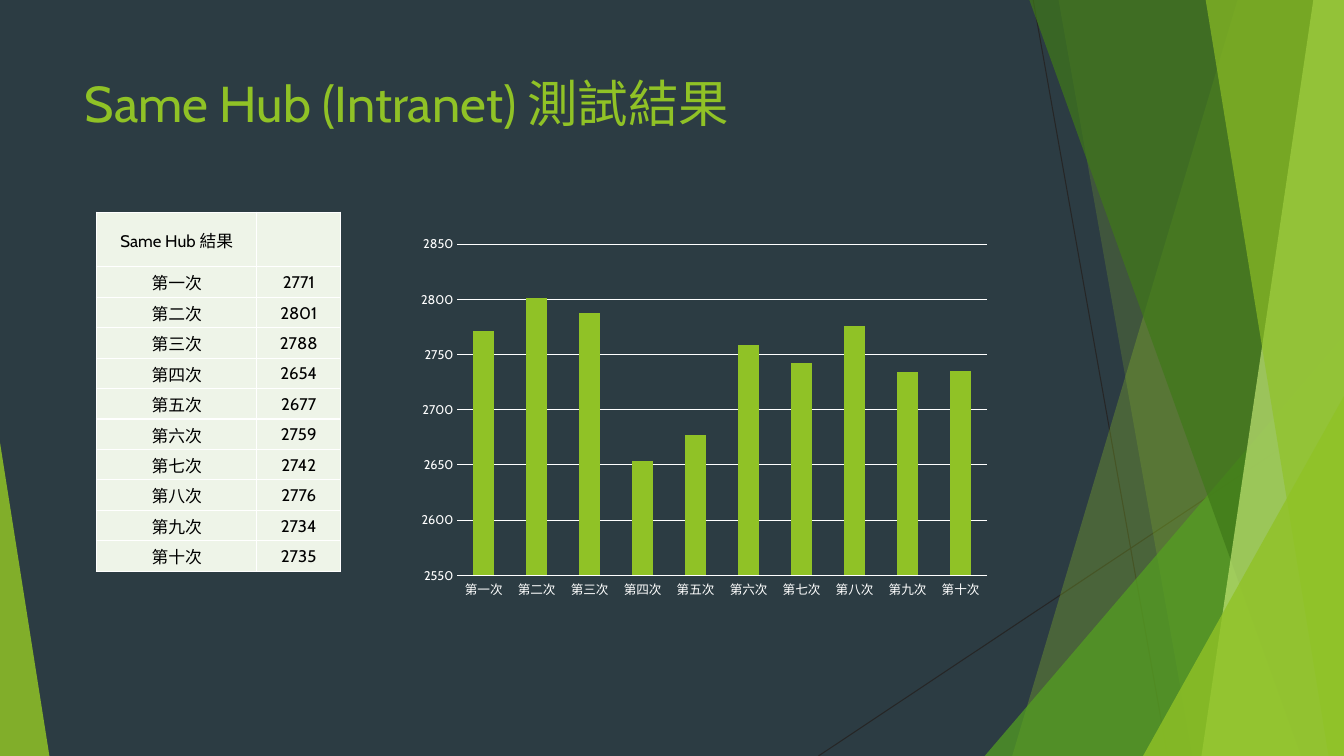
from lxml.etree import SubElement
from pptx import Presentation
from pptx.chart.data import CategoryChartData
from pptx.dml.color import RGBColor
from pptx.enum.chart import XL_CHART_TYPE, XL_TICK_MARK
from pptx.enum.shapes import MSO_CONNECTOR, MSO_SHAPE
from pptx.enum.text import MSO_ANCHOR, MSO_AUTO_SIZE, PP_ALIGN
from pptx.oxml import parse_xml
from pptx.oxml.ns import nsdecls, qn
from pptx.util import Pt

SLATE = RGBColor(0x2C, 0x3C, 0x43)
LIME = RGBColor(0x90, 0xC2, 0x26)
GREEN = RGBColor(0x54, 0xA0, 0x21)
FOREST = RGBColor(0x3F, 0x78, 0x19)
PALE_LIME = RGBColor(0xC0, 0xE4, 0x74)
CHARCOAL = RGBColor(0x26, 0x26, 0x26)
MINT = RGBColor(0xEE, 0xF4, 0xE8)
WHITE = RGBColor(0xFF, 0xFF, 0xFF)
BLACK = RGBColor(0, 0, 0)

WIDTH, HEIGHT = 960, 540
BAND_TOP = -0.6
RESULTS = {
    "第一次": 2771, "第二次": 2801, "第三次": 2788, "第四次": 2654, "第五次": 2677,
    "第六次": 2759, "第七次": 2742, "第八次": 2776, "第九次": 2734, "第十次": 2735,
}
RAYS = [((738, 0), (834, HEIGHT)), ((WIDTH, 290.2), (584.6, HEIGHT))]
BACK_BANDS = [(884.2, 723, LIME, 30), (756, 851.8, LIME, 20)]
FRONT_BANDS = [
    (735.1, 929.5, FOREST, 70),
    (938.2, 858.2, PALE_LIME, 70),
    (861.1, 949, LIME, 65),
]


def style_font(font, size, color):
    font.name = "Cabin"
    font.size = Pt(size)
    font.color.rgb = color


def write(frame, text, *, size, color, align=PP_ALIGN.LEFT):
    para = frame.paragraphs[0]
    para.alignment = align
    span = para.add_run()
    span.text = text
    style_font(span.font, size, color)


class SlideBuilder:
    def __init__(self, page):
        self.page = page
        self.shapes = page.shapes
        page.background.fill.solid()
        page.background.fill.fore_color.rgb = SLATE

    def line(self, start, end):
        ray = self.shapes.add_connector(
            MSO_CONNECTOR.STRAIGHT, *(Pt(value) for value in (*start, *end)))
        ray.line.color.rgb = CHARCOAL
        ray.line.width = Pt(0.75)
        SubElement(ray.element.spPr, qn("a:effectLst"))

    def paint(self, shape, color, opacity):
        shape.shadow.inherit = False
        shape.line.fill.background()
        shape.fill.solid()
        shape.fill.fore_color.rgb = color
        tint = shape.element.spPr.find(".//" + qn("a:srgbClr"))
        SubElement(tint, qn("a:alpha"), val=str(opacity * 1000))

    def band(self, top_x, bottom_x, color, opacity):
        outline = self.shapes.build_freeform(Pt(top_x), Pt(BAND_TOP))
        corners = [(WIDTH, BAND_TOP), (WIDTH, HEIGHT), (bottom_x, HEIGHT)]
        outline.add_line_segments([(Pt(x), Pt(y)) for x, y in corners], close=True)
        self.paint(outline.convert_to_shape(), color, opacity)

    def triangle(self, left, top, width, apex, color, opacity):
        shape = self.shapes.add_shape(
            MSO_SHAPE.ISOSCELES_TRIANGLE,
            Pt(left), Pt(top), Pt(width), Pt(HEIGHT - top))
        shape.adjustments[0] = apex
        self.paint(shape, color, opacity)

    def title(self, text, left, top, width, height):
        box = self.shapes.title
        box.left, box.top, box.width, box.height = Pt(left), Pt(top), Pt(width), Pt(height)
        frame = box.text_frame
        frame.word_wrap = True
        frame.auto_size = MSO_AUTO_SIZE.NONE
        frame.vertical_anchor = MSO_ANCHOR.TOP
        write(frame, text, size=36, color=LIME)
        self.shapes.element.append(box.element)

    def cell(self, cell, text):
        cell.fill.solid()
        cell.fill.fore_color.rgb = MINT
        cell.vertical_anchor = MSO_ANCHOR.MIDDLE
        cell.margin_left = cell.margin_right = cell.margin_top = Pt(0.72)
        cell.margin_bottom = 0
        if text:
            write(cell.text_frame, text, size=12, color=BLACK, align=PP_ALIGN.CENTER)
        properties = cell._tc.get_or_add_tcPr()
        for index, side in enumerate("LRTB"):
            properties.insert(index, parse_xml(
                f'<a:ln{side} {nsdecls("a")} w="{Pt(1)}"><a:solidFill>'
                f'<a:srgbClr val="{WHITE}"/></a:solidFill></a:ln{side}>'))

    def table(self, rows, left, top, widths, heights):
        grid = self.shapes.add_table(
            len(rows), len(widths), Pt(left), Pt(top),
            Pt(sum(widths)), Pt(sum(heights))).table
        grid.first_row = grid.horz_banding = False
        for column, width in zip(grid.columns, widths):
            column.width = Pt(width)
        for row, height, texts in zip(grid.rows, heights, rows):
            row.height = Pt(height)
            for cell, text in zip(row.cells, texts):
                self.cell(cell, text)

    def column_chart(self, results, left, top, width, height):
        data = CategoryChartData()
        data.categories = list(results)
        data.add_series("Series 1", list(results.values()))
        chart = self.shapes.add_chart(
            XL_CHART_TYPE.COLUMN_STACKED,
            Pt(left), Pt(top), Pt(width), Pt(height), data).chart
        chart.has_legend = chart.has_title = False
        style_font(chart.font, 10, WHITE)
        plot = chart.plots[0]
        plot.vary_by_categories = False
        plot.gap_width, plot.overlap = 150, 100
        plot.series[0].format.fill.solid()
        plot.series[0].format.fill.fore_color.rgb = LIME
        for axis in (chart.category_axis, chart.value_axis):
            axis.major_tick_mark = axis.minor_tick_mark = XL_TICK_MARK.NONE
            axis.format.line.fill.background()
            style_font(axis.tick_labels.font, 9, WHITE)
        scale = chart.value_axis
        scale.minimum_scale, scale.maximum_scale, scale.major_unit = 2550, 2850, 50
        scale.has_major_gridlines = True
        scale.major_gridlines.format.line.color.rgb = WHITE
        scale.major_gridlines.format.line.width = Pt(0.75)


def main():
    deck = Presentation()
    deck.slide_width, deck.slide_height = Pt(WIDTH), Pt(HEIGHT)
    builder = SlideBuilder(deck.slides.add_slide(deck.slide_layouts[5]))
    for start, end in RAYS:
        builder.line(start, end)
    for band in BACK_BANDS:
        builder.band(*band)
    builder.triangle(703.4, 239.8, 256.6, 1, GREEN, 72)
    for band in FRONT_BANDS:
        builder.band(*band)
    builder.triangle(816.5, 283, 143.5, 1, LIME, 80)
    builder.triangle(0, 316.1, 35.3, 0, LIME, 85)
    builder.title("Same Hub (Intranet) 測試結果", 53.3, 48, 676.8, 104)
    rows = [("Same Hub 結果", "")]
    rows += [(name, str(value)) for name, value in RESULTS.items()]
    builder.table(rows, 69, 151.6, [114.5, 59.8], [39] + [21.75] * len(RESULTS))
    builder.column_chart(RESULTS, 292.3, 163.4, 421.2, 268.6)
    deck.save("out.pptx")


if __name__ == "__main__":
    main()
